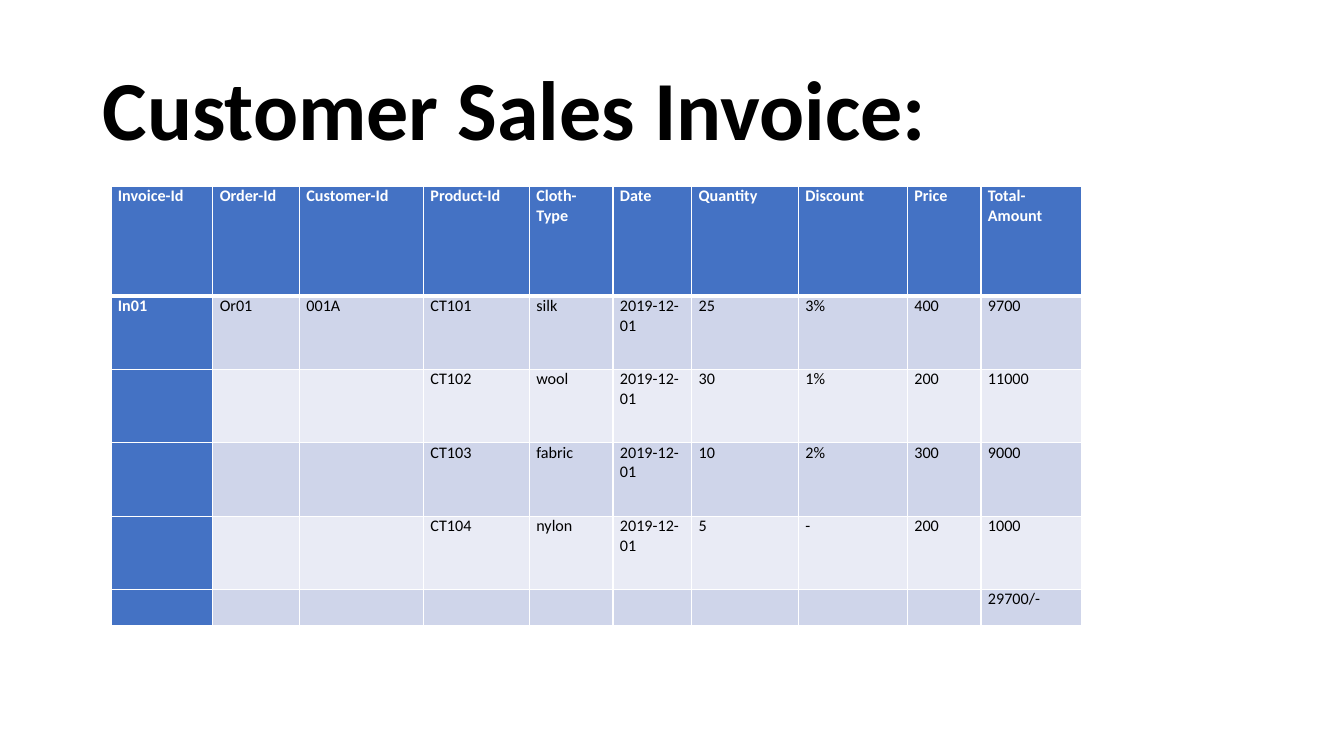
from dataclasses import dataclass

from lxml.etree import SubElement
from pptx import Presentation
from pptx.dml.color import RGBColor as RGB
from pptx.enum.text import MSO_ANCHOR as ANCHOR
from pptx.enum.text import PP_ALIGN as ALIGN
from pptx.oxml.ns import qn
from pptx.util import Inches, Pt


@dataclass(frozen=True)
class Theme:
    font: str = "Calibri"
    title_size: float = 60
    cell_size: float = 11.5
    ink: str = "000000"
    white: str = "FFFFFF"
    accent: str = "4472C4"
    bands: tuple = ("CFD5EA", "E9EBF5")
    rule: float = 1
    header_rule: float = 3


THEME = Theme()
COLUMN_WIDTHS = [1.01, 0.86, 1.23, 1.05, 0.83, 0.78, 1.06, 1.08, 0.73, 1]
ROW_HEIGHTS = [1.09, 0.73, 0.73, 0.73, 0.73, 0.36]
DATE = "2019-12-01"
INVOICE = [
    ["Invoice-Id", "Order-Id", "Customer-Id", "Product-Id", "Cloth-Type",
     "Date", "Quantity", "Discount", "Price", "Total-Amount"],
    ["In01", "Or01", "001A", "CT101", "silk", DATE, "25", "3%", "400", "9700"],
    ["", "", "", "CT102", "wool", DATE, "30", "1%", "200", "11000"],
    ["", "", "", "CT103", "fabric", DATE, "10", "2%", "300", "9000"],
    ["", "", "", "CT104", "nylon", DATE, "5", "-", "200", "1000"],
    [""] * 9 + ["29700/-"],
]


def set_attrs(obj, values):
    for name, value in values.items():
        setattr(obj, name, value)


def write(p, text, size, color, bold):
    r = p.add_run()
    r.text = text
    set_attrs(r.font, {"name": THEME.font, "size": Pt(size), "bold": bold})
    r.font.color.rgb = RGB.from_string(color)


def add_title(slide, left, top, width, height):
    sp = slide.shapes.title
    set_attrs(sp, {"left": Inches(left), "top": Inches(top),
                   "width": Inches(width), "height": Inches(height)})
    tf = sp.text_frame
    set_attrs(tf, {"word_wrap": True, "vertical_anchor": ANCHOR.MIDDLE})
    p = tf.paragraphs[0]
    set_attrs(p, {"alignment": ALIGN.LEFT, "line_spacing": 0.9})
    write(p, "Customer Sales Invoice:", THEME.title_size, THEME.ink, True)


def add_borders(cell, top, bottom):
    tc_pr = cell._tc.get_or_add_tcPr()
    widths = {"lnL": THEME.rule, "lnR": THEME.rule, "lnT": top, "lnB": bottom}
    for side, width in widths.items():
        ln = SubElement(tc_pr, qn(f"a:{side}"), w=str(Pt(width)))
        fill = SubElement(ln, qn("a:solidFill"))
        SubElement(fill, qn("a:srgbClr"), val=THEME.white)


def format_cell(cell, text, row, col):
    strong = row == 0 or col == 0
    set_attrs(cell, {"margin_left": Inches(0.07), "margin_right": Inches(0.07),
                     "margin_top": 0, "margin_bottom": 0,
                     "vertical_anchor": ANCHOR.TOP})
    add_borders(cell,
                THEME.header_rule if row == 1 else THEME.rule,
                THEME.header_rule if row == 0 else THEME.rule)
    cell.fill.solid()
    cell.fill.fore_color.rgb = RGB.from_string(
        THEME.accent if strong else THEME.bands[(row - 1) % 2])
    if text:
        write(cell.text_frame.paragraphs[0], text, THEME.cell_size,
              THEME.white if strong else THEME.ink, strong)


def add_invoice_table(slide, left, top, width, height):
    table = slide.shapes.add_table(
        len(ROW_HEIGHTS), len(COLUMN_WIDTHS), Inches(left), Inches(top),
        Inches(width), Inches(height)).table
    set_attrs(table, {"first_row": True, "first_col": True,
                      "horz_banding": True})
    for column, share in zip(table.columns, COLUMN_WIDTHS):
        column.width = Inches(width * share / sum(COLUMN_WIDTHS))
    for row, share in zip(table.rows, ROW_HEIGHTS):
        row.height = Inches(height * share / sum(ROW_HEIGHTS))
    for i, line in enumerate(INVOICE):
        for j, text in enumerate(line):
            format_cell(table.cell(i, j), text, i, j)


def main():
    prs = Presentation()
    set_attrs(prs, {"slide_width": Inches(13.33), "slide_height": Inches(7.5)})
    slide = prs.slides.add_slide(prs.slide_layouts[5])
    add_title(slide, 0.92, 0.4, 11.5, 1.45)
    add_invoice_table(slide, 1.1, 1.85, 9.63, 4.36)
    prs.save("out.pptx")


if __name__ == "__main__":
    main()
